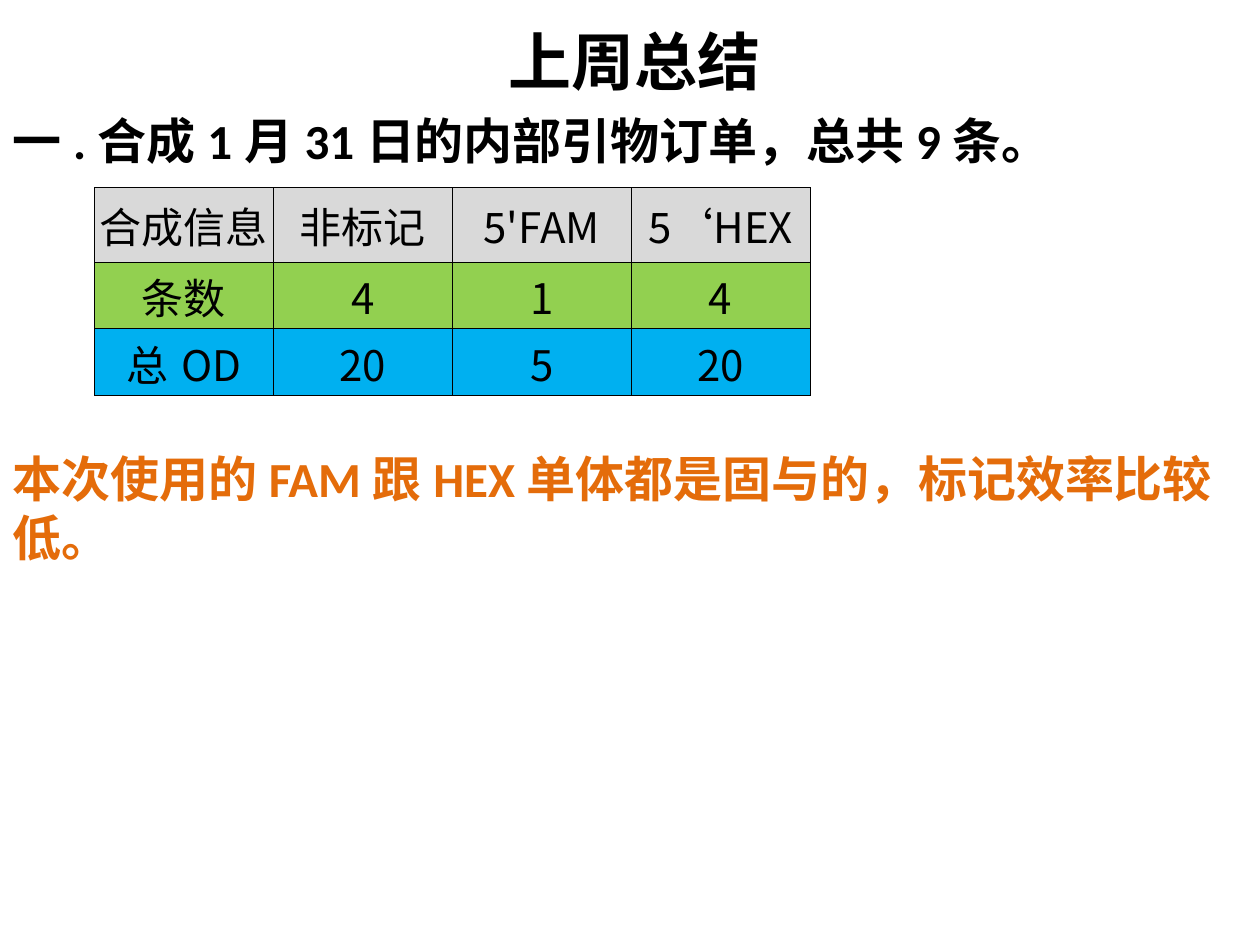
"""Build the weekly summary slide with its synthesis order table."""
from lxml.etree import SubElement
from pptx import Presentation
from pptx.dml.color import RGBColor
from pptx.enum.text import MSO_ANCHOR, MSO_AUTO_SIZE, PP_ALIGN
from pptx.oxml.ns import qn
from pptx.util import Inches, Pt

BLACK = RGBColor(0x00, 0x00, 0x00)
ORANGE = RGBColor(0xE4, 0x6C, 0x0A)
GRAY = RGBColor(0xD9, 0xD9, 0xD9)
GREEN = RGBColor(0x92, 0xD0, 0x50)
BLUE = RGBColor(0x00, 0xB0, 0xF0)
LATIN_FONT = "Calibri"
CHINESE_FONT = "Noto Sans CJK SC"

ORDER_ROWS = [
    (0.59, GRAY, ["合成信息", "非标记", "5'FAM", "5‘HEX"]),
    (0.53, GREEN, ["条数", "4", "1", "4"]),
    (0.53, BLUE, ["总OD", "20", "5", "20"]),
]


def write_text(frame, text, size=28, color=BLACK, bold=True,
               font=LATIN_FONT, align=PP_ALIGN.LEFT):
    paragraph = frame.paragraphs[0]
    paragraph.alignment = align
    run = paragraph.add_run()
    run.text = text
    run.font.size = Pt(size)
    run.font.bold = bold
    run.font.name = font
    run.font.color.rgb = color
    SubElement(run.font._element, qn("a:ea"), typeface=CHINESE_FONT)


def place(shape, left, top, width, height):
    shape.left, shape.top = Inches(left), Inches(top)
    shape.width, shape.height = Inches(width), Inches(height)


def add_title(slide, text):
    title = slide.shapes.title
    place(title, 2.32, 0.13, 5.43, 0.71)
    frame = title.text_frame
    frame.auto_size = MSO_AUTO_SIZE.NONE
    frame.vertical_anchor = MSO_ANCHOR.TOP
    write_text(frame, text, size=36, align=PP_ALIGN.CENTER)


def add_statement(slide, text, top, height, color=BLACK):
    box = slide.shapes.add_textbox(0, Inches(top), Inches(10), Inches(height))
    box.text_frame.word_wrap = True
    write_text(box.text_frame, text, color=color)


def set_borders(cell, color=BLACK, width=0.5):
    properties = cell._tc.get_or_add_tcPr()
    for position, side in enumerate(("lnL", "lnR", "lnT", "lnB")):
        line = SubElement(properties, qn(f"a:{side}"), w=str(Pt(width)))
        fill = SubElement(line, qn("a:solidFill"))
        SubElement(fill, qn("a:srgbClr"), val=str(color))
        properties.insert(position, line)


def add_order_table(slide, rows, left, top, column_width):
    columns = len(rows[0][2])
    table = slide.shapes.add_table(
        len(rows), columns, Inches(left), Inches(top),
        Inches(column_width * columns),
        Inches(sum(height for height, _, _ in rows))).table
    for column in table.columns:
        column.width = Inches(column_width)
    for row, (height, color, values) in zip(table.rows, rows):
        row.height = Inches(height)
        for cell, value in zip(row.cells, values):
            cell.fill.solid()
            cell.fill.fore_color.rgb = color
            cell.vertical_anchor = MSO_ANCHOR.MIDDLE
            cell.margin_left = cell.margin_right = Inches(0.01)
            cell.margin_top, cell.margin_bottom = Inches(0.01), 0
            write_text(cell.text_frame, value, size=24, bold=False,
                       font=CHINESE_FONT, align=PP_ALIGN.CENTER)
            set_borders(cell)


def main():
    presentation = Presentation()
    presentation.slide_width = Inches(10)
    presentation.slide_height = Inches(7.5)
    title_only = presentation.slide_layouts.get_by_name("Title Only")
    slide = presentation.slides.add_slide(title_only)
    add_title(slide, "上周总结")
    add_statement(slide, "一.合成1月31日的内部引物订单，总共9条。", 0.83, 0.57)
    add_order_table(slide, ORDER_ROWS, 0.75, 1.49, 1.42)
    add_statement(slide, "本次使用的FAM跟HEX单体都是固与的，标记效率比较低。",
                  3.51, 1.04, ORANGE)
    presentation.save("out.pptx")


main()
